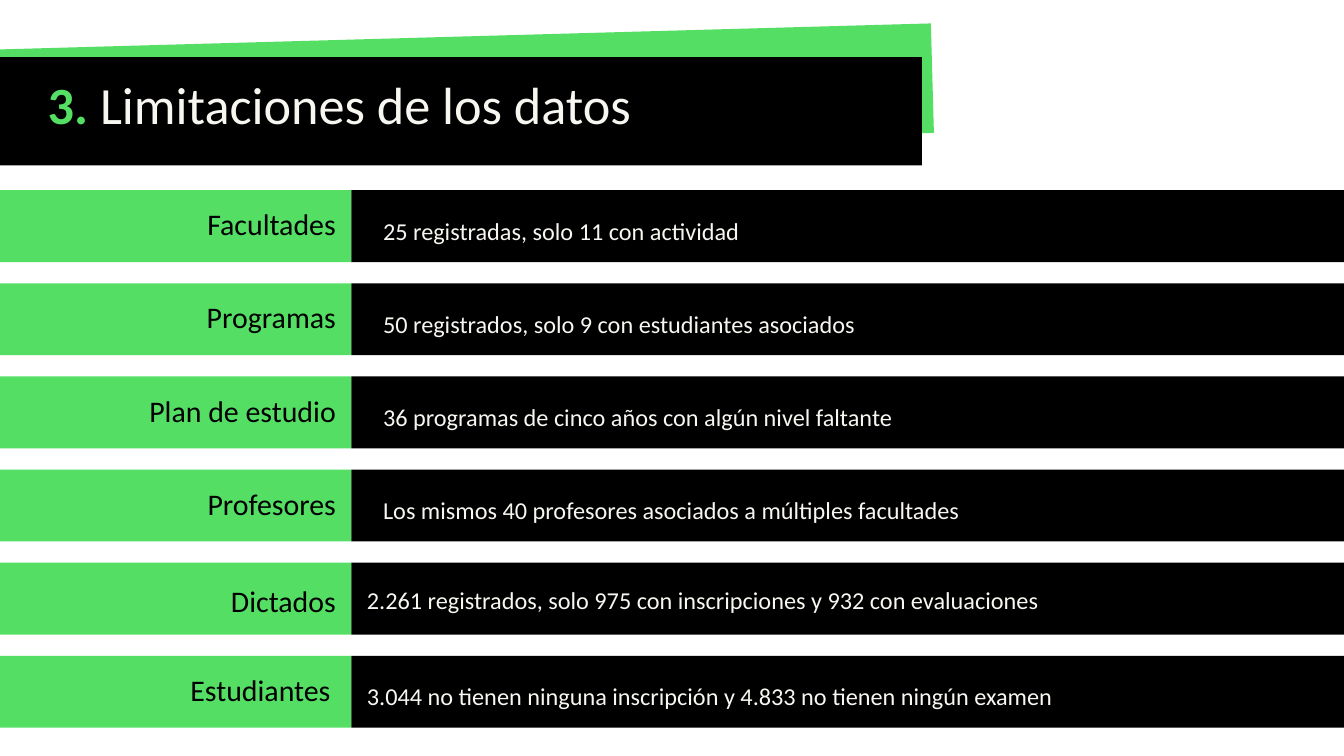
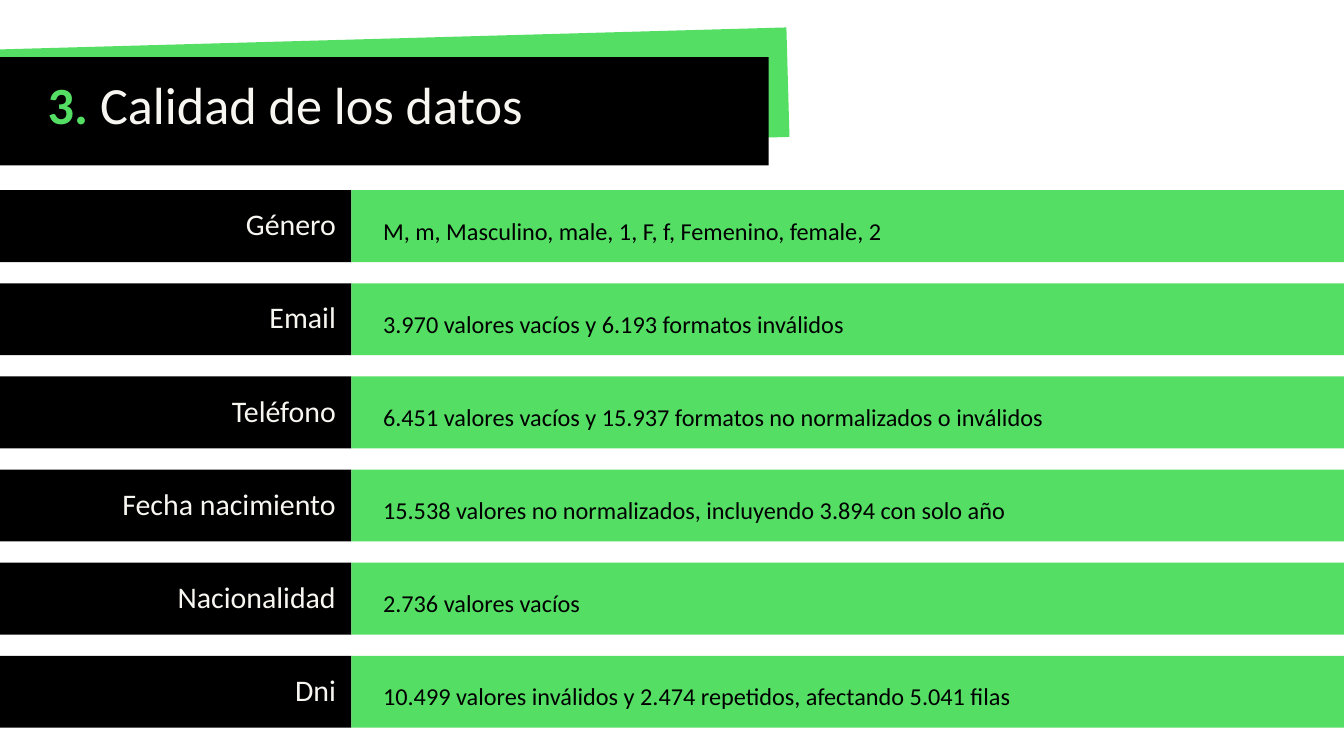
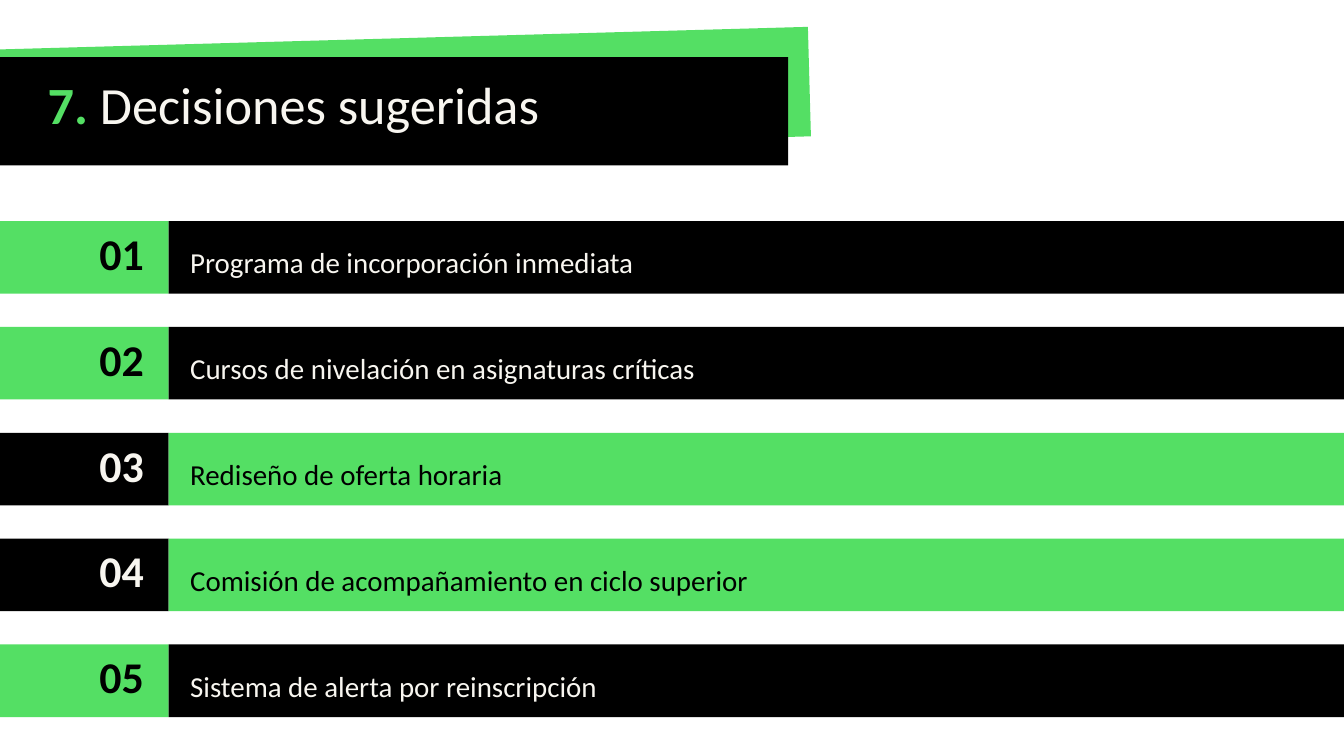
"""Build three banded slides on data limits, data quality and suggested decisions."""
import math
from dataclasses import dataclass

import pptx
import pptx.dml.color
import pptx.enum.shapes
import pptx.enum.text
import pptx.util

PX = 9144
TILT = -1.6
ALIGN = pptx.enum.text.PP_ALIGN


@dataclass(frozen=True)
class Theme:
    green: str = "54DF64"
    black: str = "000000"
    ivory: str = "F8F6F0"
    font: str = "Calibri"
    title: int = 56
    label: int = 32
    value: int = 26
    number: int = 47
    decision: int = 31


T = Theme()
INK = {T.green: T.black, T.black: T.ivory}
OTHER = {T.green: T.black, T.black: T.green}


@dataclass(frozen=True)
class Row:
    label: str
    value: str
    label_w: int = 361
    label_right: int = 500
    label_dy: int = 0
    value_x: int = 570
    value_w: int = 1265
    value_dy: int = 0


LIMITS = [
    Row("Facultades", "25 registradas, solo 11 con actividad", 404),
    Row("Programas", "50 registrados, solo 9 con estudiantes asociados", 392),
    Row("Plan de estudio", "36 programas de cinco años con algún nivel faltante", 481),
    Row("Profesores", "Los mismos 40 profesores asociados a múltiples facultades"),
    Row("Dictados", "2.261 registrados, solo 975 con inscripciones y 932 con evaluaciones",
        label_dy=6, value_x=546, value_w=1389, value_dy=-5),
    Row("Estudiantes", "3.044 no tienen ninguna inscripción y 4.833 no tienen ningún examen",
        label_right=492, value_x=546, value_w=1364),
]
QUALITY = [
    Row("Género", "M, m, Masculino, male, 1, F, f, Femenino, female, 2", 404),
    Row("Email", "3.970 valores vacíos y 6.193 formatos inválidos", 392),
    Row("Teléfono", "6.451 valores vacíos y 15.937 formatos no normalizados o inválidos", 481),
    Row("Fecha nacimiento", "15.538 valores no normalizados, incluyendo 3.894 con solo año", 501),
    Row("Nacionalidad", "2.736 valores vacíos", 500, value_w=1364),
    Row("Dni", "10.499 valores inválidos y 2.474 repetidos, afectando 5.041 filas", value_w=1389),
]
DECISIONS = [
    ("Programa de incorporación inmediata", T.green),
    ("Cursos de nivelación en asignaturas críticas", T.green),
    ("Rediseño de oferta horaria", T.black),
    ("Comisión de acompañamiento en ciclo superior", T.black),
    ("Sistema de alerta por reinscripción", T.green),
]


def box(*lengths):
    """Turn px lengths into EMU."""
    return [round(n * PX) for n in lengths]


def add_bar(s, x, y, w, h, fill, rotation=0):
    """Draw a plain filled rectangle."""
    sp = s.shapes.add_shape(pptx.enum.shapes.MSO_SHAPE.RECTANGLE, *box(x, y, w, h))
    sp.shadow.inherit = False
    sp.fill.solid()
    sp.fill.fore_color.rgb = pptx.dml.color.RGBColor.from_string(fill)
    sp.line.fill.background()
    sp.rotation = rotation


def add_run(p, text, size, color, bold=False):
    """Append a formatted run to a paragraph."""
    r = p.add_run()
    r.text = text
    r.font.name = T.font
    r.font.size = pptx.util.Pt(size)
    r.font.bold = bold
    r.font.color.rgb = pptx.dml.color.RGBColor.from_string(color)


def add_text(s, text, x, y, w, h, *, size, color, leading, bold=False, align=ALIGN.LEFT):
    """Place a one-paragraph text box and return its paragraph."""
    tf = s.shapes.add_textbox(*box(x, y, w, h)).text_frame
    tf.margin_left = tf.margin_top = tf.margin_right = tf.margin_bottom = 0
    tf.word_wrap = True
    tf.auto_size = pptx.enum.text.MSO_AUTO_SIZE.SHAPE_TO_FIT_TEXT
    p = tf.paragraphs[0]
    p.alignment = align
    p.line_spacing = pptx.util.Pt(leading)
    add_run(p, text, size, color, bold)
    return p


def add_title(s, number, text, band_w, accent_w, text_w):
    """Draw the title band over its tilted accent."""
    accent_y = 105 + accent_w / 2 * math.sin(math.radians(TILT))
    add_bar(s, -1125, accent_y, accent_w, 163, T.green, TILT)
    add_bar(s, -1142, 85, band_w, 161, T.black)
    p = add_text(s, f"{number}. ", 71, 127, text_w, 79, size=T.title,
                 color=T.green, leading=52.6, bold=True)
    add_run(p, text, T.title, T.ivory)


def add_rows(s, rows, label_fill):
    """Draw the label and value bars, evenly spaced."""
    value_fill = OTHER[label_fill]
    for i, row in enumerate(rows):
        y = 283 + 138.6 * i
        add_bar(s, -75, y, 598, 107, label_fill)
        add_bar(s, 523, y, 1478, 107, value_fill)
        add_text(s, row.label, row.label_right - row.label_w, y + 35 + row.label_dy,
                 row.label_w, 45, size=T.label, color=INK[label_fill],
                 leading=30.1, align=ALIGN.RIGHT)
        add_text(s, row.value, row.value_x, y + 13 + row.value_dy, row.value_w, 62,
                 size=T.value, color=INK[value_fill], leading=49.4)


def add_decisions(s, decisions):
    """Draw the numbered decision bars, evenly spaced."""
    for i, (text, number_fill) in enumerate(decisions):
        y = 329 + 157.5 * i
        text_fill = OTHER[number_fill]
        add_bar(s, 0, y, 251, 108, number_fill)
        add_bar(s, 251, y, 1827, 108, text_fill)
        add_text(s, text, 283, y + 19, 1214, 61, size=T.decision,
                 color=INK[text_fill], leading=49)
        add_text(s, f"{i + 1:02}", 55, y + 25, 159, 68, size=T.number,
                 color=INK[number_fill], leading=44.2, bold=True, align=ALIGN.RIGHT)


def main():
    """Build and save the presentation."""
    prs = pptx.Presentation()
    prs.slide_width, prs.slide_height = box(2000, 1125)
    blank = prs.slide_layouts[6]

    s = prs.slides.add_slide(blank)
    add_title(s, 3, "Limitaciones de los datos", 2514, 2513, 1351)
    add_rows(s, LIMITS, T.green)

    s = prs.slides.add_slide(blank)
    add_title(s, 3, "Calidad de los datos", 2286, 2298, 1089)
    add_rows(s, QUALITY, T.black)

    s = prs.slides.add_slide(blank)
    add_title(s, 7, "Decisiones sugeridas", 2315, 2330, 1080)
    add_decisions(s, DECISIONS)

    prs.save("out.pptx")


if __name__ == "__main__":
    main()
